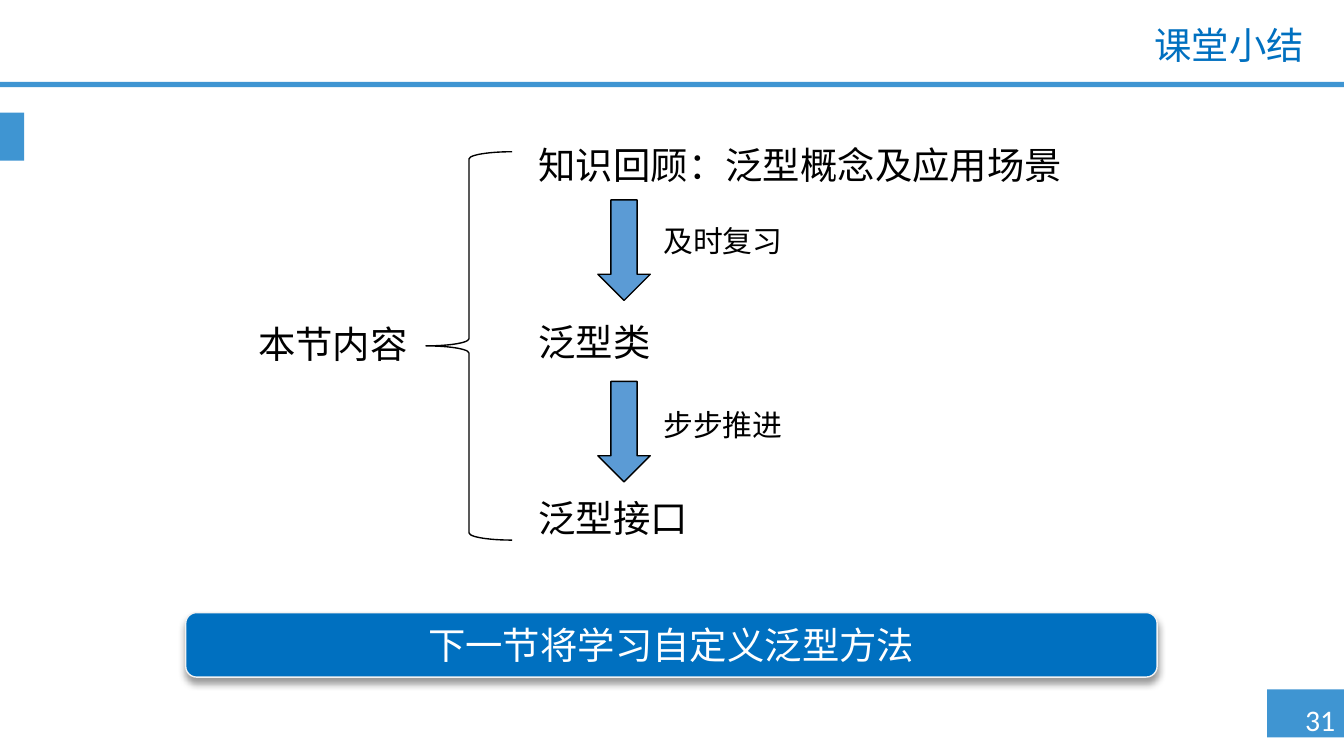
from dataclasses import dataclass
from lxml import etree
from pptx import Presentation
from pptx.dml.color import RGBColor as Rgb
from pptx.enum import shapes, text
from pptx.oxml.ns import qn
from pptx.util import Cm, Pt


@dataclass
class Theme:
    blue: str = "0070C0"
    trim: str = "3F95D2"
    arrow: str = "5B9BD5"
    edge: str = "F2F2F2"
    ink: str = "000000"
    white: str = "FFFFFF"
    big: int = 20
    small: int = 16
    rule: float = 0.75


theme = Theme()
kind = shapes.MSO_SHAPE
side = text.PP_ALIGN
deck = Presentation()
deck.slide_width, deck.slide_height = Cm(25.4), Cm(14.29)
slide = deck.slides.add_slide(deck.slide_layouts[5])


def draw(form, box, fill=None, line=None):
    shape = slide.shapes.add_shape(form, *map(Cm, box))
    shape.shadow.inherit = False
    if fill:
        shape.fill.solid()
        shape.fill.fore_color.rgb = Rgb.from_string(fill)
    else:
        shape.fill.background()
    if line:
        shape.line.color.rgb = Rgb.from_string(line)
        shape.line.width = Pt(theme.rule)
    else:
        shape.line.fill.background()
    return shape


def write(words, box=None, size=theme.big, color=theme.ink,
          align=side.LEFT, font="Arial", shape=None):
    """Put words into the given shape, or into a new text box."""
    shape = shape or slide.shapes.add_textbox(*map(Cm, box))
    frame = shape.text_frame
    frame.text = words
    frame.word_wrap = True
    para = frame.paragraphs[0]
    para.alignment = align
    style = para.runs[0].font
    style.name, style.size = font, Pt(size)
    style.color.rgb = Rgb.from_string(color)
    return frame


# Page trim
for box in [(23.95, 13.03, 1.45, 0.91), (0, 1.55, 25.4, 0.1),
            (0, 2.13, 0.46, 0.91)]:
    draw(kind.RECTANGLE, box, theme.trim)
page = write("31", (24.29, 13.13, 1.32, 0.94), theme.small, theme.white,
             side.CENTER, "Calibri")
page.word_wrap = False

# Title
title = slide.shapes.title
title.left, title.top, title.width, title.height = map(
    Cm, (6.1, 0.38, 18.8, 1.02))
head = write("课堂小结", color=theme.blue, align=side.RIGHT, shape=title)
head.auto_size = text.MSO_AUTO_SIZE.NONE
head.vertical_anchor = text.MSO_ANCHOR.MIDDLE
head.paragraphs[0].line_spacing = 0.9

# Topics inside the brace
draw(kind.LEFT_BRACE, (8.05, 2.87, 1.63, 7.34), line=theme.ink)
write("本节内容", (3.3, 5.94, 5.99, 1.12), align=side.CENTER)
topics = ["知识回顾：泛型概念及应用场景", "泛型类", "泛型接口"]
for row, topic in enumerate(topics):
    write(topic, (9.93, 2.57 + 3.33 * row, 11.76, 1.12))

# Steps between topics
for row, step in enumerate(["及时复习", "步步推进"]):
    draw(kind.DOWN_ARROW, (11.3, 3.78 + 3.43 * row, 0.99, 1.9),
         theme.arrow, theme.ink)
    write(step, (12.29, 4.09 + 3.48 * row, 8.86, 0.94), theme.small)

# Next lesson banner
banner = draw(kind.ROUNDED_RECTANGLE, (3.51, 11.58, 18.36, 1.22),
              theme.blue, theme.edge)
banner.adjustments[0] = 0.17
next_up = write("下一节将学习自定义泛型方法", color=theme.white,
                align=side.CENTER, shape=banner)
next_up.vertical_anchor = text.MSO_ANCHOR.MIDDLE
effects = banner.element.spPr.find(qn("a:effectLst"))
shade = etree.SubElement(effects, qn("a:outerShdw"), blurRad=str(Pt(4)),
                         dist=str(Pt(3)), dir="5400000", rotWithShape="0")
tint = etree.SubElement(shade, qn("a:srgbClr"), val=theme.ink)
etree.SubElement(tint, qn("a:alpha"), val="40000")

deck.save("out.pptx")
